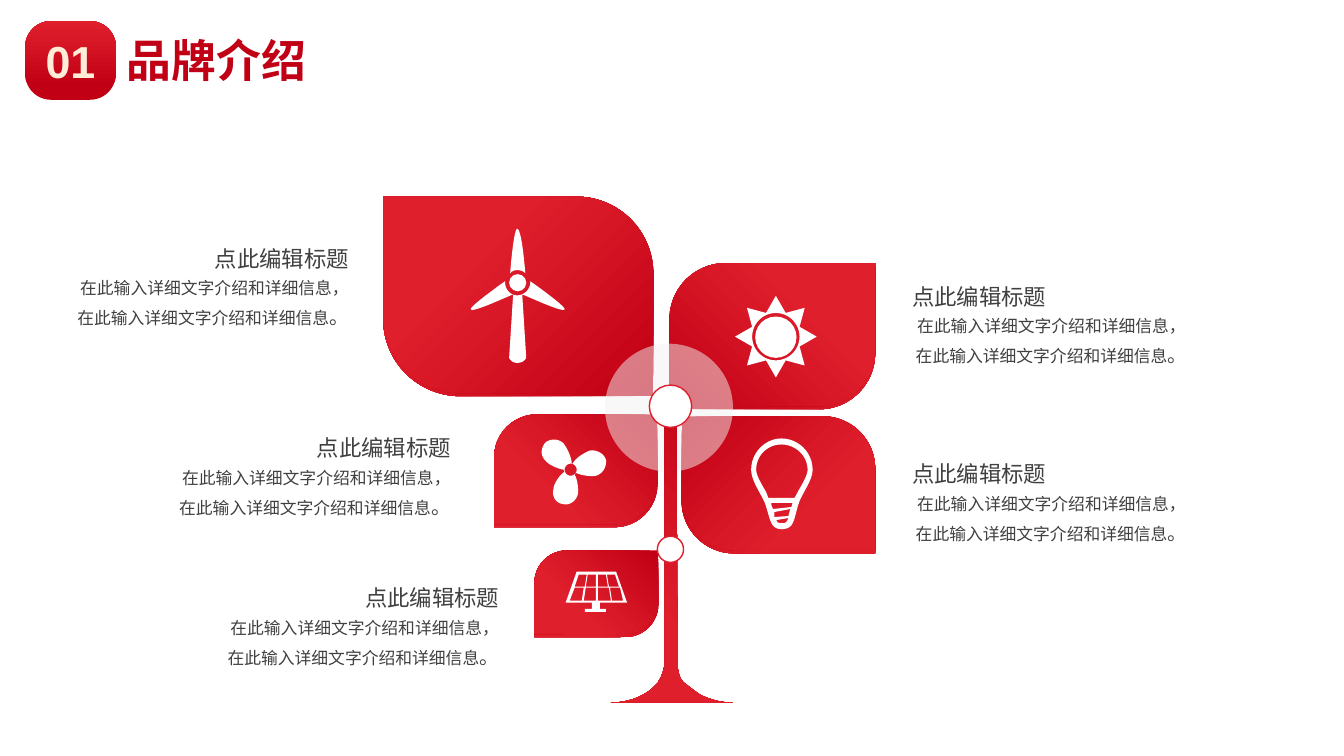
"""Build the brand introduction slide: a red energy tree with five captioned leaves."""
import math
import pptx
import pptx.dml.color
import pptx.enum.shapes
import pptx.enum.text
import pptx.oxml.ns
import pptx.util
from lxml import etree

Inches = pptx.util.Inches
SHAPE = pptx.enum.shapes.MSO_SHAPE
ALIGN = pptx.enum.text.PP_ALIGN
DARK, RED, WHITE, GRAY = "C10015", "E01F2D", "FFFFFF", "404040"
CURVE_STEPS = 12


def paint(fill, color, end_color=None, positions=(0, 0.69), angle=225):
    if end_color is None:
        fill.solid()
        fill.fore_color.rgb = pptx.dml.color.RGBColor.from_string(color)
        return
    fill.gradient()
    fill.gradient_angle = angle
    for stop, position, shade in zip(fill.gradient_stops, positions, (color, end_color)):
        stop.position = position
        stop.color.rgb = pptx.dml.color.RGBColor.from_string(shade)


def write(para, text, size=12, color=GRAY, bold=False, align=ALIGN.LEFT, spacing=None):
    para.alignment = align
    para.line_spacing = spacing
    span = para.add_run()
    span.text = text
    span.font.name = "Arial"
    span.font.size = pptx.util.Pt(size)
    span.font.bold = bold
    paint(span.font.fill, color)


deck = pptx.Presentation()
deck.slide_width, deck.slide_height = Inches(13.33), Inches(7.5)
page = deck.slides.add_slide(deck.slide_layouts[6])

leaves = [
    (4.9, 4.11, 1.62, 1.09, "hv"),
    (6.76, 4.13, 1.92, 1.33, "v"),
    (6.64, 2.61, 2.04, 1.42, ""),
    (3.8, 1.95, 2.68, 1.95, "h"),
    (5.3, 5.46, 1.23, 0.83, "hv"),
]
for left, top, width, height, flips in leaves:
    for drop in (0.03, 0):
        leaf = page.shapes.add_shape(
            SHAPE.ROUND_2_DIAG_RECTANGLE,
            Inches(left), Inches(top + drop), Inches(width), Inches(height))
        leaf.adjustments[0] = 0.392
        leaf.rotation = 180
        for flip in flips:
            leaf.element.spPr.xfrm.set("flip" + flip.upper(), "1")
        leaf.shadow.inherit = False
        leaf.line.fill.background()
        paint(leaf.fill, DARK, RED)

halo = page.shapes.add_shape(SHAPE.OVAL, Inches(6), Inches(3.41), Inches(1.27), Inches(1.27))
halo.shadow.inherit = False
halo.line.fill.background()
paint(halo.fill, "F2F2F2")
halo_color = halo.element.spPr.find(".//" + pptx.oxml.ns.qn("a:srgbClr"))
etree.SubElement(halo_color, pptx.oxml.ns.qn("a:alpha")).set("val", "50000")

turns = [math.tau * step / 48 for step in range(48)]
sun_hole, propeller_hole = [
    [(x + radius * math.cos(turn), y + radius * math.sin(turn)) for turn in turns]
    for x, y, radius in ((7.695, 3.34, 0.235), (5.66, 4.66, 0.06))]
sun_rays = [
    (7.695 + radius * math.sin(math.pi * point / 8),
     3.34 - radius * math.cos(math.pi * point / 8))
    for point, radius in enumerate((0.405, 0.255) * 8)]

# Points are (x, y); curves are (control, control, end) flattened to six numbers.
stem = [[
    (6.71, 4.03), (6.72, 6.58), (6.72, 6.63, 6.73, 6.68, 6.75, 6.73),
    (6.76, 6.74, 6.77, 6.76, 6.78, 6.77), (6.82, 6.8, 6.87, 6.84, 6.94, 6.89),
    (7.04, 6.94, 7.15, 6.97, 7.27, 6.97), (6.06, 6.97),
    (6.2, 6.97, 6.33, 6.93, 6.43, 6.86), (6.47, 6.83, 6.5, 6.8, 6.53, 6.77),
    (6.53, 6.76, 6.54, 6.74, 6.55, 6.73), (6.57, 6.68, 6.59, 6.63, 6.59, 6.58),
    (6.59, 4.03)]]
turbine_blade = [[
    (5.21, 2.71), (5.2, 2.58, 5.17, 2.27, 5.13, 2.27),
    (5.1, 2.27, 5.07, 2.58, 5.06, 2.71), (5.08, 2.69, 5.1, 2.68, 5.13, 2.68),
    (5.16, 2.68, 5.19, 2.69, 5.21, 2.71)]]
turbine_body = [[
    (5.26, 2.79), (5.26, 2.8), (5.26, 2.87, 5.2, 2.93, 5.13, 2.93),
    (5.06, 2.93, 5.01, 2.87, 5.01, 2.8), (5.01, 2.79),
    (4.91, 2.86, 4.65, 3.05, 4.67, 3.07), (4.69, 3.1, 4.97, 2.97, 5.09, 2.92),
    (5.05, 3.55), (5.05, 3.55, 5.07, 3.6, 5.13, 3.6), (5.2, 3.6, 5.22, 3.55, 5.22, 3.55),
    (5.18, 2.92), (5.3, 2.97, 5.58, 3.1, 5.6, 3.07), (5.62, 3.05, 5.36, 2.86, 5.26, 2.79)]]
propeller = [[
    (6.01, 4.56), (5.99, 4.5, 5.92, 4.46, 5.85, 4.47), (5.8, 4.49, 5.71, 4.54, 5.68, 4.6),
    (5.67, 4.6), (5.67, 4.53, 5.62, 4.44, 5.59, 4.4), (5.54, 4.35, 5.46, 4.35, 5.41, 4.39),
    (5.36, 4.45, 5.36, 4.52, 5.41, 4.57), (5.44, 4.61, 5.53, 4.65, 5.59, 4.66),
    (5.6, 4.68), (5.54, 4.72, 5.49, 4.81, 5.49, 4.85), (5.47, 4.92, 5.51, 4.99, 5.58, 5),
    (5.65, 5.02, 5.71, 4.97, 5.73, 4.91), (5.74, 4.86, 5.73, 4.76, 5.7, 4.71),
    (5.71, 4.69), (5.77, 4.72, 5.87, 4.73, 5.91, 4.72),
    (5.98, 4.7, 6.02, 4.63, 6.01, 4.56)], propeller_hole]
bulb = [
    [(7.75, 4.35), (7.59, 4.35, 7.45, 4.49, 7.45, 4.66), (7.45, 4.77, 7.55, 4.9, 7.59, 5),
     (7.64, 5.15, 7.64, 5.25, 7.75, 5.25), (7.88, 5.25, 7.87, 5.16, 7.92, 5),
     (7.95, 4.9, 8.06, 4.77, 8.06, 4.66), (8.06, 4.49, 7.92, 4.35, 7.75, 4.35)],
    [(7.82, 5.12), (7.68, 5.13), (7.68, 5.08), (7.84, 5.05), (7.83, 5.08)],
    [(7.67, 5.05), (7.66, 5.04, 7.65, 5.02, 7.65, 4.99), (7.86, 4.99), (7.85, 5.03)],
    [(7.75, 5.19), (7.73, 5.19, 7.71, 5.19, 7.7, 5.16), (7.82, 5.14),
     (7.8, 5.19, 7.79, 5.19, 7.75, 5.19)],
    [(7.88, 4.94), (7.62, 4.94), (7.61, 4.91, 7.6, 4.88, 7.58, 4.85),
     (7.54, 4.78, 7.5, 4.71, 7.5, 4.66), (7.5, 4.52, 7.61, 4.41, 7.75, 4.41),
     (7.89, 4.41, 8.01, 4.52, 8.01, 4.66), (8.01, 4.71, 7.97, 4.78, 7.93, 4.85),
     (7.91, 4.88, 7.9, 4.91, 7.88, 4.94)]]
solar_panel = [[
    (5.95, 5.98), (6.22, 5.98), (6.11, 5.67), (5.72, 5.67), (5.61, 5.98), (5.87, 5.98),
    (5.87, 6.04), (5.8, 6.04), (5.8, 6.07), (6.01, 6.07), (6.01, 6.04), (5.95, 6.04)]]
cell_rows = [
    (5.7, 5.82, [(5.74, 5.82, 5.7, 5.8), (5.83, 5.91, 5.81, 5.91),
                 (5.93, 6.01, 5.93, 6.03), (6.02, 6.1, 6.04, 6.14)]),
    (5.83, 5.96, [(5.7, 5.79, 5.65, 5.77), (5.81, 5.91, 5.79, 5.91),
                  (5.93, 6.04, 5.93, 6.06), (6.05, 6.15, 6.07, 6.18)])]
for top, bottom, cells in cell_rows:
    for top_left, top_right, bottom_left, bottom_right in cells:
        solar_panel.append([(top_left, top), (top_right, top),
                            (bottom_right, bottom), (bottom_left, bottom)])

outlines = [(stem, (DARK, RED))] + [
    (icon, (WHITE,)) for icon in (turbine_blade, turbine_body, [sun_rays, sun_hole],
                                  propeller, bulb, solar_panel)]
for contours, colors in outlines:
    builder = None
    for contour in contours:
        points = [contour[0]]
        for segment in contour[1:]:
            if len(segment) == 2:
                points.append(segment)
                continue
            x0, y0 = points[-1]
            x1, y1, x2, y2, x3, y3 = segment
            for step in range(1, CURVE_STEPS + 1):
                t = step / CURVE_STEPS
                a, b, c, d = (1 - t) ** 3, 3 * t * (1 - t) ** 2, 3 * t * t * (1 - t), t ** 3
                points.append((a * x0 + b * x1 + c * x2 + d * x3,
                               a * y0 + b * y1 + c * y2 + d * y3))
        start, *rest = [(Inches(x), Inches(y)) for x, y in points]
        if builder is None:
            builder = page.shapes.build_freeform(*start)
        else:
            builder.move_to(*start)
        builder.add_line_segments(rest, close=True)
    outline = builder.convert_to_shape()
    outline.shadow.inherit = False
    outline.line.fill.background()
    paint(outline.fill, *colors)

discs = [(6.44, 3.82, 0.42, True), (6.52, 5.32, 0.26, True),
         (5.05, 2.72, 0.17, False), (7.49, 3.14, 0.41, False)]
for left, top, size, ringed in discs:
    disc = page.shapes.add_shape(SHAPE.OVAL, Inches(left), Inches(top), Inches(size), Inches(size))
    disc.shadow.inherit = False
    paint(disc.fill, WHITE)
    if ringed:
        paint(disc.line.fill, RED)
        disc.line.width = pptx.util.Pt(1)
    else:
        disc.line.fill.background()

captions = [(8.95, 2.68, 2.96, ALIGN.LEFT, ALIGN.CENTER), (8.95, 4.44, 2.96, ALIGN.LEFT, ALIGN.CENTER)]
captions += [(left, top, 3.04, ALIGN.RIGHT, ALIGN.RIGHT)
             for left, top in ((0.52, 2.3), (1.53, 4.18), (2.01, 5.67))]
for left, top, width, title_align, body_align in captions:
    box = page.shapes.add_textbox(Inches(left), Inches(top), Inches(width), Inches(1.02))
    frame = box.text_frame
    frame.word_wrap = True
    write(frame.paragraphs[0], "点此编辑标题", size=16, align=title_align, spacing=1.3)
    write(frame.add_paragraph(), "在此输入详细文字介绍和详细信息，", align=body_align, spacing=1.3)
    para = frame.add_paragraph()
    write(para, "在此输入详细文字介绍和详细信息", align=body_align, spacing=1.3)
    write(para, "。", size=14, align=body_align, spacing=1.3)

badge = page.shapes.add_shape(
    SHAPE.ROUNDED_RECTANGLE, Inches(0.25), Inches(0.21), Inches(0.9), Inches(0.78))
badge.adjustments[0] = 0.329
badge.shadow.inherit = False
badge.line.fill.background()
paint(badge.fill, DARK, RED, positions=(0.17, 1), angle=90)
badge.text_frame.vertical_anchor = pptx.enum.text.MSO_ANCHOR.MIDDLE
write(badge.text_frame.paragraphs[0], "01", size=32, color="FFEDD7", bold=True, align=ALIGN.CENTER)

heading = page.shapes.add_textbox(Inches(1.16), Inches(0.28), Inches(2.4), Inches(0.64))
heading.text_frame.word_wrap = True
write(heading.text_frame.paragraphs[0], "品牌介绍", size=32, color=DARK, bold=True)

deck.save("out.pptx")
